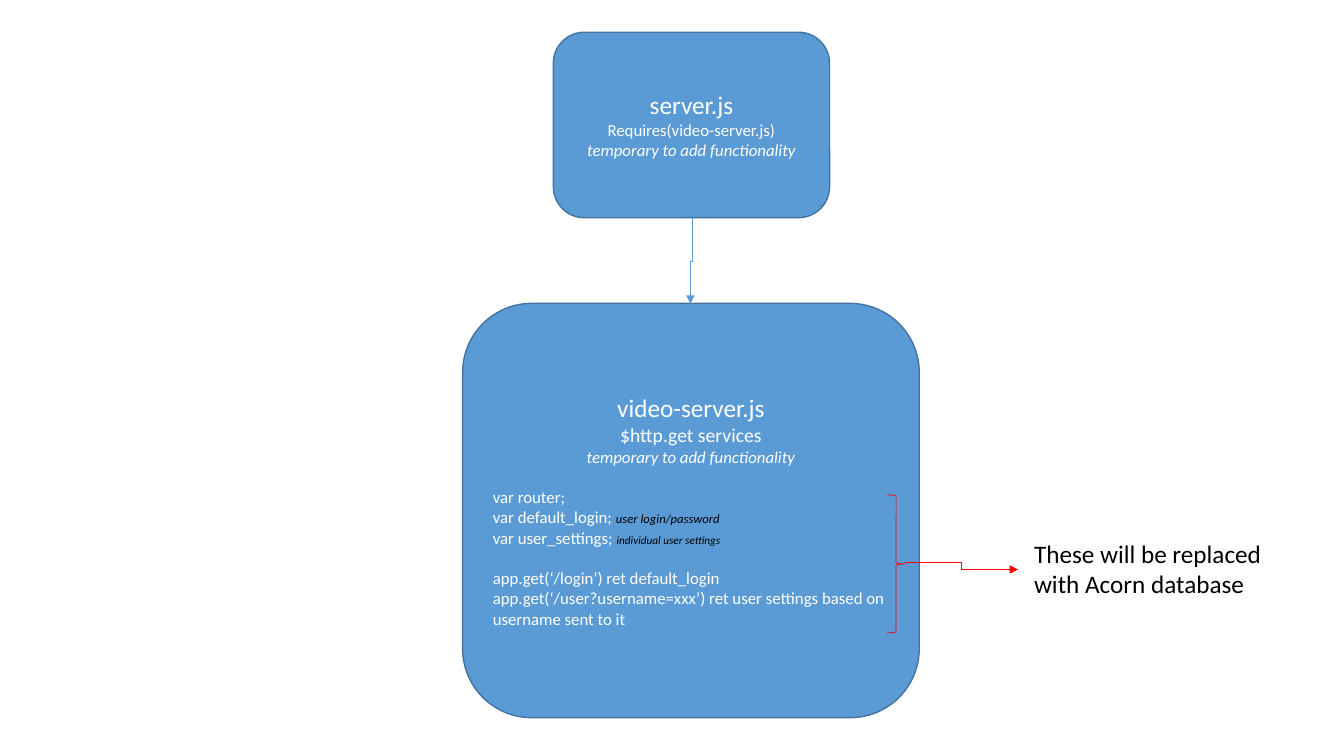
from dataclasses import dataclass

from lxml import etree
from pptx import Presentation
from pptx.dml.color import RGBColor
from pptx.enum.shapes import MSO_CONNECTOR, MSO_SHAPE
from pptx.enum.text import MSO_ANCHOR, PP_ALIGN
from pptx.oxml.ns import qn
from pptx.util import Pt

ROUND = MSO_SHAPE.ROUNDED_RECTANGLE
BRACE = MSO_SHAPE.RIGHT_BRACE
ELBOW = MSO_CONNECTOR.ELBOW
MIDDLE = MSO_ANCHOR.MIDDLE
CENTER = PP_ALIGN.CENTER
LEFT = PP_ALIGN.LEFT

BLUE = RGBColor(0x5B, 0x9B, 0xD5)
EDGE = RGBColor(0x43, 0x73, 0x9E)
RED = RGBColor(0xFF, 0x00, 0x00)
WHITE = RGBColor(0xFF, 0xFF, 0xFF)
BLACK = RGBColor(0x00, 0x00, 0x00)
FONT = "Calibri"
GAP = 14.65


@dataclass
class Line:
    text: str
    size: float = 12
    italic: bool = False
    align: PP_ALIGN = LEFT
    gap: float = 0
    color: RGBColor = WHITE
    note: str = ""
    small: float = 9


@dataclass
class Box:
    left: float
    top: float
    width: float
    height: float
    lines: list[Line]


@dataclass
class Arrow:
    start: tuple[float, float]
    end: tuple[float, float]
    color: RGBColor
    down: bool = False


HINT = Line("temporary to add functionality", italic=True, align=CENTER)

BOXES = [
    Box(395.28, 23.04, 197.28, 132.48, [
        Line("server.js", 18, align=CENTER),
        Line("Requires(video-server.js)", align=CENTER),
        HINT,
    ]),
    Box(330.48, 216.72, 326.16, 295.92, [
        Line("video-server.js", 18, align=CENTER),
        Line("$http.get services", 14, align=CENTER),
        HINT,
        Line("var router;", gap=GAP),
        Line("var default_login; ", note="user login/password"),
        Line("var user_settings; ", note="individual user settings", small=8),
        Line("app.get(‘/login’) ret default_login", gap=GAP),
        Line("app.get(‘/user?username=xxx’) ret user settings based on "
             "username sent to it"),
    ]),
]

ARROWS = [
    Arrow((494.64, 156), (493.2, 217), BLUE, down=True),
    Arrow((646.56, 401.76), (727.2, 406.8), RED),
]

REMARK = Box(731.52, 380.88, 209.52, 50.9, [
    Line("These will be replaced with Acorn database", 18, color=BLACK),
])


def write(frame, lines: list[Line]) -> None:
    frame.word_wrap = True
    for i, line in enumerate(lines):
        para = frame.add_paragraph() if i else frame.paragraphs[0]
        para.alignment = line.align
        para.space_before = Pt(line.gap)
        para.font.name = FONT
        para.font.size = Pt(line.size)
        para.font.italic = line.italic
        para.font.color.rgb = line.color
        para.add_run().text = line.text
        if line.note:
            note = para.add_run()
            note.text = line.note
            note.font.size = Pt(line.small)
            note.font.italic = True
            note.font.color.rgb = BLACK


def draw_box(shapes, box: Box) -> None:
    shape = shapes.add_shape(ROUND, Pt(box.left), Pt(box.top), Pt(box.width), Pt(box.height))
    shape.shadow.inherit = False
    shape.fill.solid()
    shape.fill.fore_color.rgb = BLUE
    shape.line.color.rgb = EDGE
    shape.line.width = Pt(1)
    shape.text_frame.vertical_anchor = MIDDLE
    write(shape.text_frame, box.lines)


def draw_arrow(shapes, arrow: Arrow) -> None:
    (x1, y1), (x2, y2) = arrow.start, arrow.end
    wide, high = (y2 - y1, x1 - x2) if arrow.down else (x2 - x1, y2 - y1)
    left, top = (x1 + x2 - wide) / 2, (y1 + y2 - high) / 2
    link = shapes.add_connector(ELBOW, Pt(left), Pt(top), Pt(left + wide), Pt(top + high))
    link.line.color.rgb = arrow.color
    link.line.width = Pt(0.5)
    props = link._element.spPr
    if arrow.down:
        props.find(qn("a:xfrm")).set("rot", str(90 * 60000))
    etree.SubElement(props.find(qn("a:ln")), qn("a:tailEnd"), type="triangle")
    etree.SubElement(props, qn("a:effectLst"))


def draw_brace(shapes) -> None:
    brace = shapes.add_shape(BRACE, Pt(633.6), Pt(353.52), Pt(12.96), Pt(98.64))
    brace.shadow.inherit = False
    brace.fill.background()
    brace.line.color.rgb = RED
    brace.line.width = Pt(0.5)


def draw_text(shapes, box: Box) -> None:
    text = shapes.add_textbox(Pt(box.left), Pt(box.top), Pt(box.width), Pt(box.height))
    write(text.text_frame, box.lines)


deck = Presentation()
deck.slide_width, deck.slide_height = Pt(960), Pt(540)
slide = deck.slides.add_slide(deck.slide_layouts[6])
for box in BOXES:
    draw_box(slide.shapes, box)
draw_brace(slide.shapes)
draw_text(slide.shapes, REMARK)
for arrow in ARROWS:
    draw_arrow(slide.shapes, arrow)
deck.save("out.pptx")
